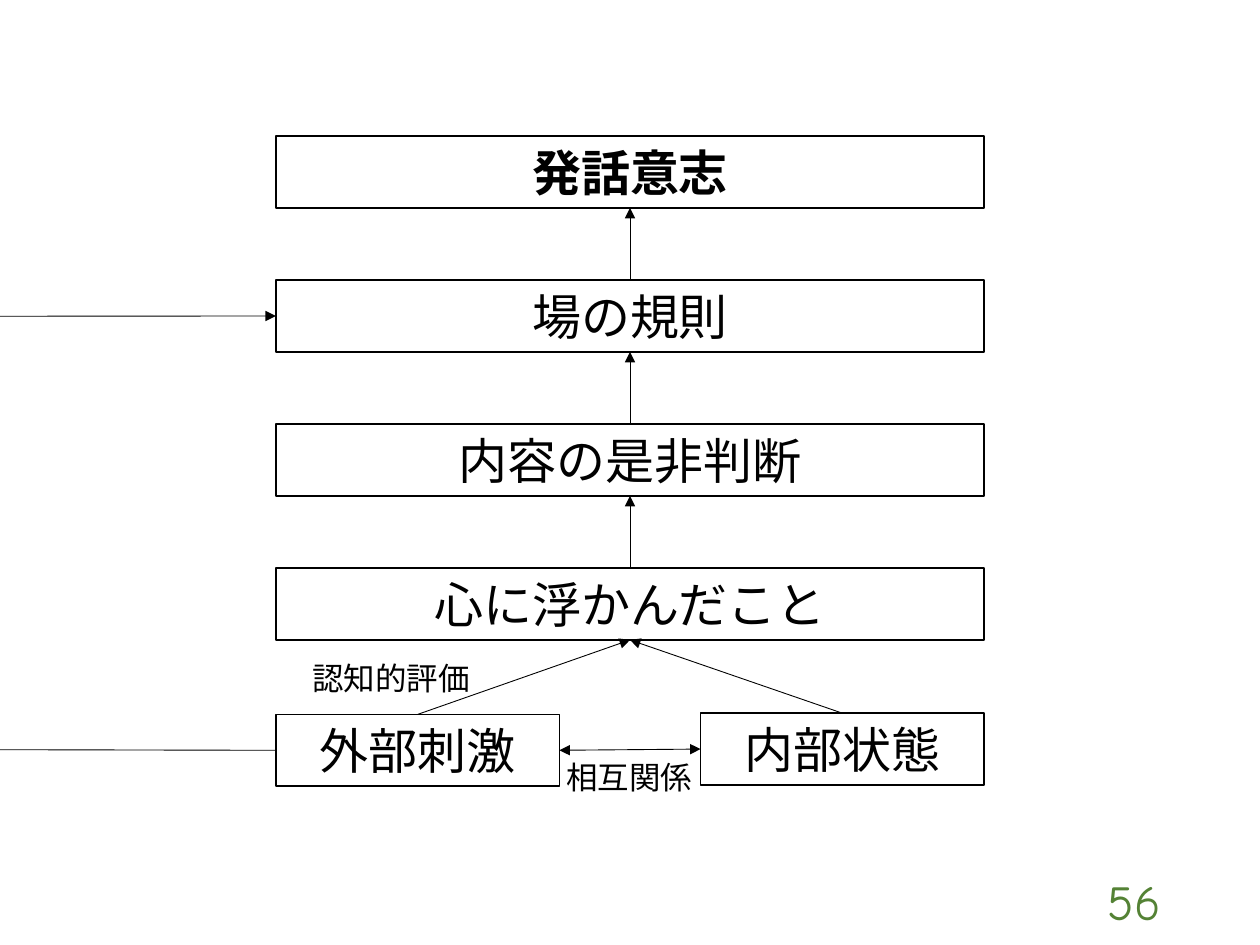
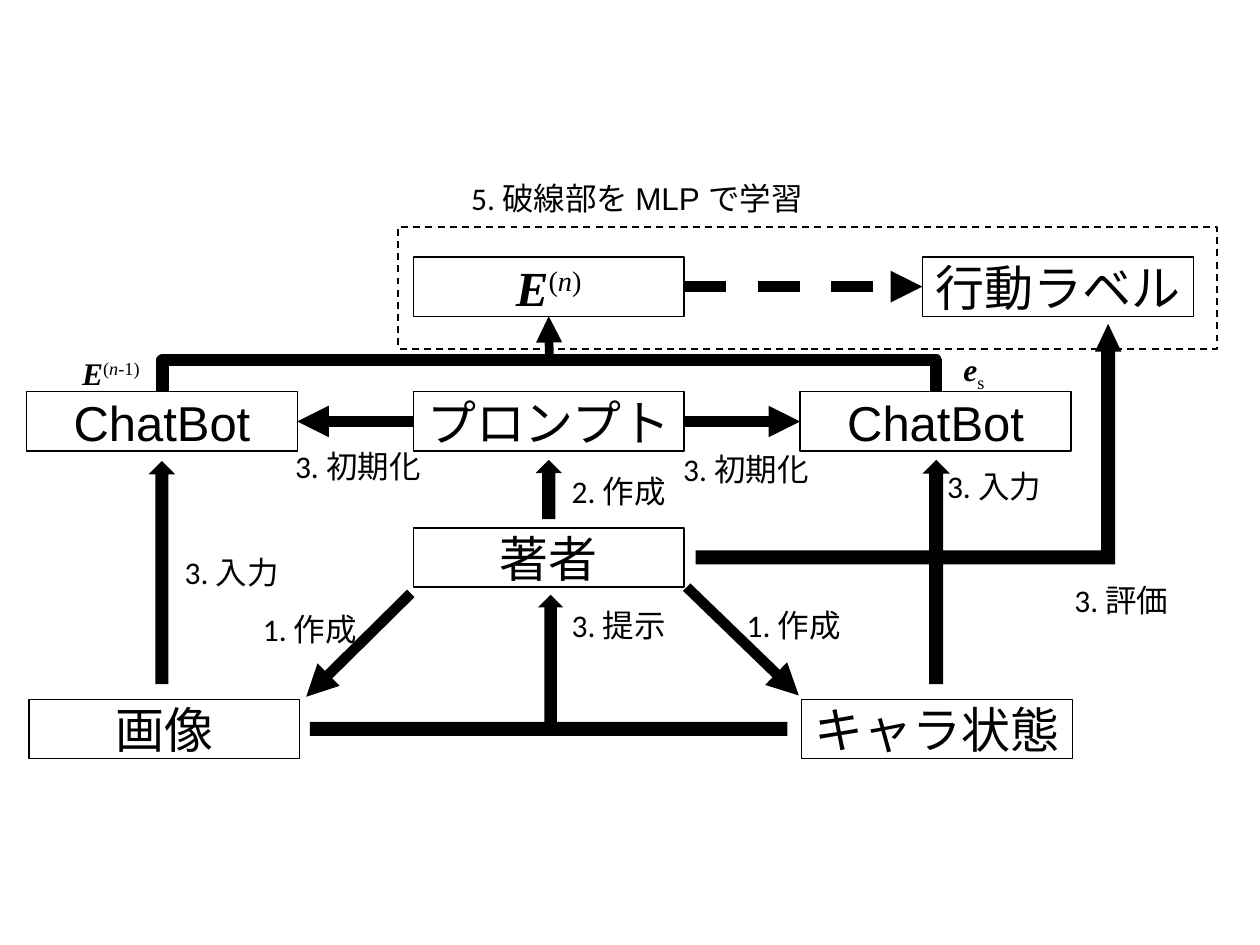
"""Build two flow diagrams: the speech-intention model and the label-learning procedure."""
from lxml.etree import SubElement
from pptx import Presentation
from pptx.dml.color import RGBColor as RGB
from pptx.enum.dml import MSO_LINE
from pptx.enum.lang import MSO_LANGUAGE_ID as LANG
from pptx.enum.shapes import MSO_CONNECTOR as CONN, MSO_SHAPE as SHAPE
from pptx.enum.text import MSO_ANCHOR as ANCHOR, PP_ALIGN as ALIGN
from pptx.oxml.ns import qn
from pptx.util import Inches, Pt

COLORS = {"ink": "000000", "paper": "FFFFFF", "page": "548235"}
TOP, LEFT, BOTTOM, RIGHT = range(4)
MATH = {"name": "Times New Roman"}
VECTOR = {**MATH, "bold": True, "italic": True}
ITALIC = {**MATH, "italic": True}


def write(sp, runs, size, font, align=ALIGN.CENTER, anchor=ANCHOR.TOP, color="ink"):
    tf = sp.text_frame
    tf.word_wrap, tf.vertical_anchor = True, anchor
    p = tf.paragraphs[0]
    p.alignment = align
    for text, fmt, baseline in [(runs, {}, 0)] if isinstance(runs, str) else runs:
        r = p.add_run()
        r.text = text
        base = {"name": font, "size": Pt(size), "language_id": LANG.JAPANESE}
        for key, value in {**base, **fmt}.items():
            setattr(r.font, key, value)
        r.font.color.rgb = RGB.from_string(COLORS[color])
        if baseline:
            r._r.get_or_add_rPr().set("baseline", str(baseline * 1000))


def connect(s, start, end, width, ends=("tailEnd",), dash=None):
    is_point = [isinstance(e[0], (int, float)) for e in (start, end)]
    points = [e if flat else (0, 0) for e, flat in zip((start, end), is_point)]
    c = s.shapes.add_connector(CONN.STRAIGHT, *[Inches(v) for pt in points for v in pt])
    if not is_point[0]:
        c.begin_connect(*start)
    if not is_point[1]:
        c.end_connect(*end)
    c.line.color.rgb = RGB.from_string(COLORS["ink"])
    c.line.width = Pt(width)
    if dash:
        c.line.dash_style = dash
    spPr = c.element.spPr
    for tag in ends:
        SubElement(spPr.get_or_add_ln(), qn(f"a:{tag}"), type="triangle")
    SubElement(spPr, qn("a:effectLst"))


prs = Presentation()
prs.slide_width, prs.slide_height = Inches(10), Inches(7.5)
blank = prs.slide_layouts[6]

s = prs.slides.add_slide(blank)
page = s.shapes.add_textbox(*map(Inches, (7.06, 6.95, 2.25, 0.4)))
write(page, "56", 28, "Comic Neue", ALIGN.RIGHT, ANCHOR.MIDDLE, "page")

stages = ["発話意志", "場の規則", "内容の是非判断", "心に浮かんだこと"]
boxes = [(name, 2.19, 1.08 + 1.143 * i, 5.62) for i, name in enumerate(stages)]
boxes += [("外部刺激", 2.19, 5.67, 2.25), ("内部状態", 5.56, 5.66, 2.25)]
model = []
for name, x, y, w in boxes:
    sp = s.shapes.add_shape(SHAPE.RECTANGLE, *map(Inches, (x, y, w, 0.57)))
    sp.shadow.inherit = False
    sp.fill.solid()
    sp.fill.fore_color.rgb = RGB.from_string(COLORS["paper"])
    sp.line.color.rgb = RGB.from_string(COLORS["ink"])
    sp.line.width = Pt(1)
    write(sp, [(name, {"bold": name == "発話意志"}, 0)], 28, "Arial")
    model.append(sp)
will, rule, judgement, thought, stimulus, state = model

for lower, upper in [(rule, will), (judgement, rule), (thought, judgement),
                     (stimulus, thought), (state, thought)]:
    connect(s, (lower, TOP), (upper, BOTTOM), 0.5)
connect(s, (stimulus, RIGHT), (state, LEFT), 0.5, ("headEnd", "tailEnd"))
connect(s, (stimulus, LEFT), (0, 5.95), 0.5, ())
connect(s, (0, 2.51), (rule, LEFT), 0.5)

for text, x, y, align in [("認知的評価", 2.38, 5.18, ALIGN.LEFT),
                          ("相互関係", 4.25, 5.97, ALIGN.CENTER)]:
    tb = s.shapes.add_textbox(*map(Inches, (x, y, 1.49, 0.4)))
    write(tb, text, 18, "Calibri", align)

s = prs.slides.add_slide(blank)
solids = [
    (SHAPE.UP_ARROW, 1.18, 3.66, 0.21, 1.77),
    (SHAPE.UP_ARROW, 4.25, 3.65, 0.21, 0.47),
    (SHAPE.UP_ARROW, 7.32, 3.65, 0.22, 1.78),
    (SHAPE.UP_ARROW, 4.27, 4.72, 0.2, 1.11),
    (SHAPE.RECTANGLE, 2.46, 5.73, 3.79, 0.11),
    (SHAPE.BENT_UP_ARROW, 5.52, 2.57, 3.38, 1.91),
]
for kind, *at in solids:
    sp = s.shapes.add_shape(kind, *map(Inches, at))
    sp.shadow.inherit = False
    sp.fill.solid()
    sp.fill.fore_color.rgb = RGB.from_string(COLORS["ink"])
    sp.line.fill.background()
    if kind == SHAPE.BENT_UP_ARROW:
        for i, value in enumerate((0.058, 0.055, 0.116)):
            sp.adjustments[i] = value

fb = s.shapes.build_freeform(Inches(1.29), Inches(3.11))
fb.add_line_segments([(Inches(x), Inches(y)) for x, y in
                      [(1.29, 2.86), (7.43, 2.86), (7.43, 3.11)]], close=False)
bracket = fb.convert_to_shape()
frame = s.shapes.add_shape(SHAPE.RECTANGLE, *map(Inches, (3.16, 1.8, 6.5, 0.97)))
frame.line.dash_style = MSO_LINE.DASH
for sp, width in [(bracket, 7), (frame, 1)]:
    sp.shadow.inherit = False
    sp.fill.background()
    sp.line.color.rgb = RGB.from_string(COLORS["ink"])
    sp.line.width = Pt(width)

emotion = [("E", VECTOR, 0), ("(", MATH, 30), ("n", ITALIC, 30), (")", MATH, 30)]
nodes = [
    ("画像", 0.23, 5.55, "Calibri"),
    ("キャラ状態", 6.36, 5.55, "Calibri"),
    ("著者", 3.28, 4.19, "Calibri"),
    ("ChatBot", 0.21, 3.11, "Arial"),
    ("プロンプト", 3.28, 3.11, "Calibri"),
    ("ChatBot", 6.35, 3.11, "Arial"),
    (emotion, 3.28, 2.04, "Times New Roman"),
    ("行動ラベル", 7.32, 2.04, "Calibri"),
]
steps = []
for text, x, y, font in nodes:
    sp = s.shapes.add_shape(SHAPE.RECTANGLE, *map(Inches, (x, y, 2.15, 0.47)))
    sp.shadow.inherit = False
    sp.fill.background()
    sp.line.color.rgb = RGB.from_string(COLORS["ink"])
    sp.line.width = Pt(0.75)
    write(sp, text, 28, font, anchor=ANCHOR.MIDDLE)
    steps.append(sp)
image, chara, author, bot_left, prompt, bot_right, vector, label = steps

connect(s, (4.36, 2.86), (vector, BOTTOM), 5)
connect(s, (prompt, LEFT), (bot_left, RIGHT), 6)
connect(s, (prompt, RIGHT), (bot_right, LEFT), 6)
connect(s, (vector, RIGHT), (label, LEFT), 6, dash=MSO_LINE.DASH)
connect(s, (3.26, 4.71), (2.43, 5.53), 6)
connect(s, (5.45, 4.66), (6.34, 5.52), 6)

previous = [("E", VECTOR, 0), ("(", MATH, 30), ("n-", ITALIC, 30), ("1)", MATH, 30)]
captions = [
    ("3. 評価", 8.37, 4.56, 1.06),
    ("3. 初期化", 2.23, 3.5, 1.22),
    ("3. 初期化", 5.32, 3.52, 1.2),
    ("3. 入力", 7.36, 3.66, 1.06),
    ("3. 入力", 1.31, 4.34, 1.06),
    ("3. 提示", 4.38, 4.76, 1.06),
    ("2. 作成", 4.38, 3.7, 1.06),
    ("1. 作成", 5.77, 4.76, 1.06),
    ("1. 作成", 1.93, 4.79, 1.06),
    ([("e", VECTOR, 0), ("s", MATH, -25)], 7.2, 2.73, 1.06),
    (previous, 0.35, 2.76, 1.06),
    ([("5. 破線部を ", {}, 0), ("MLP ", {"name": "Arial"}, 0), ("で学習", {}, 0)],
     3.16, 1.37, 3.79),
]
for text, x, y, w in captions:
    tb = s.shapes.add_textbox(*map(Inches, (x, y, w, 0.4)))
    write(tb, text, 18, "Calibri")

prs.save("out.pptx")
